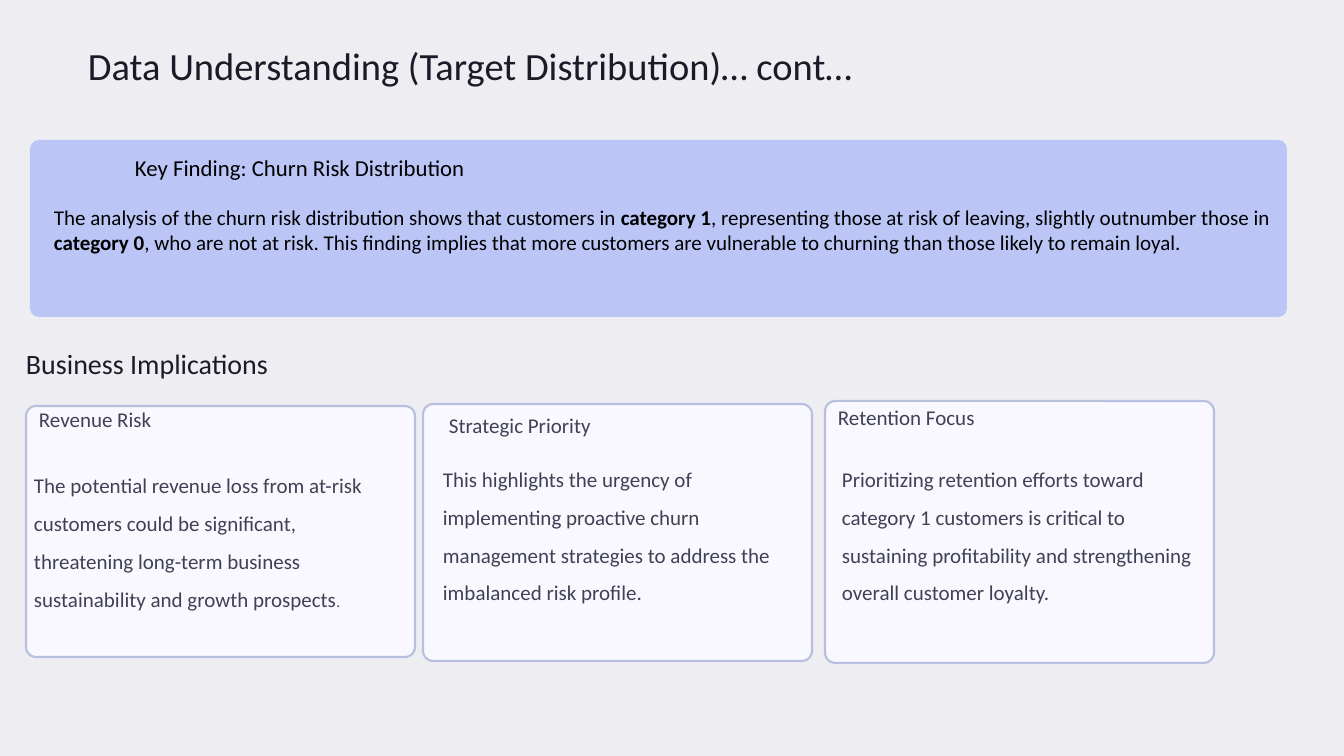
"""Build the churn risk slide with its key finding and three implication cards."""
from pptx import Presentation
from pptx.dml.color import RGBColor as RGB
from pptx.enum.shapes import MSO_SHAPE as Shape
from pptx.util import Emu, Pt

SCALE = 914400 / 84
FONT = "Calibri"
PAGE = RGB(0xED, 0xED, 0xF2)
PANEL = RGB(0xBB, 0xC6, 0xF7)
CARD = RGB(0xF8, 0xF8, 0xFE)
EDGE = RGB(0xB8, 0xBF, 0xDF)
INK = RGB(0x1B, 0x1B, 0x27)
BLACK = RGB(0x00, 0x00, 0x00)
SLATE = RGB(0x40, 0x41, 0x55)

FINDING = [
    ("The analysis of the churn risk distribution shows that customers in ", 18, False),
    ("category 1", 18, True),
    (", representing those at risk of leaving, slightly outnumber those in ", 18, False),
    ("category 0", 18, True),
    (", who are not at risk. This finding implies that more customers are "
     "vulnerable to churning than those likely to remain loyal.", 18, False),
]

CARDS = [
    ((26, 406, 389, 251), (39, 408, 194, 24), "Revenue Risk", (34, 460, 364, 173),
     [("The potential revenue loss from at-risk customers could be significant, "
       "threatening long-term business sustainability and growth prospects", 18, False),
      (".", 13, False)]),
    ((423, 404, 389, 257), (449, 414, 194, 24), "Strategic Priority", (443, 454, 354, 198),
     [("This highlights the urgency of implementing proactive churn management "
       "strategies to address the imbalanced risk profile.", 18, False)]),
    ((825, 401, 389, 262), (838, 406, 194, 24), "Retention Focus", (842, 454, 354, 189),
     [("Prioritizing retention efforts toward category 1 customers is critical to "
       "sustaining profitability and strengthening overall customer loyalty.", 18, False)]),
]


def px(*sizes):
    """Turn pixel lengths into EMU."""
    return [Emu(round(size * SCALE)) for size in sizes]


def add_box(slide, place, fill, bend, edge=None):
    """Add a rounded box, with an outline if an edge colour is given."""
    box = slide.shapes.add_shape(Shape.ROUNDED_RECTANGLE, *px(*place))
    box.adjustments[0] = bend
    box.shadow.inherit = False
    box.fill.solid()
    box.fill.fore_color.rgb = fill
    if edge is None:
        box.line.fill.background()
    else:
        box.line.color.rgb = edge
        box.line.width = Pt(1.8)


def add_text(slide, place, runs, color, lead=1.0):
    """Add a text box of one paragraph made of (words, size, bold) runs."""
    frame = slide.shapes.add_textbox(*px(*place)).text_frame
    frame.word_wrap = True
    frame.margin_left = frame.margin_right = 0
    frame.margin_top = frame.margin_bottom = 0
    para = frame.paragraphs[0]
    para.line_spacing = lead
    for words, size, bold in runs:
        run = para.add_run()
        run.text = words
        run.font.name = FONT
        run.font.size = Pt(size)
        run.font.bold = bold
        run.font.color.rgb = color


def add_card(slide, place, head, title, body, runs):
    """Add an outlined card with its title and body."""
    add_box(slide, place, CARD, 0.04, EDGE)
    add_text(slide, head, [(title, 18, False)], SLATE, Pt(20.5))
    add_text(slide, body, runs, SLATE, 1.5)


def main():
    """Build and save the slide."""
    deck = Presentation()
    deck.slide_width, deck.slide_height = px(1344, 756)
    slide = deck.slides.add_slide(deck.slide_layouts[6])
    slide.background.fill.solid()
    slide.background.fill.fore_color.rgb = PAGE

    add_text(slide, (88, 40, 916, 49),
             [("Data Understanding (Target Distribution)… cont…", 33, False)], INK, Pt(41.5))
    add_box(slide, (30, 140, 1257, 177), PANEL, 0.05)
    add_text(slide, (135, 152, 412, 29),
             [("Key Finding: Churn Risk Distribution", 19.5, False)], BLACK, Pt(24.5))
    add_text(slide, (54, 204, 1217, 89), FINDING, BLACK)
    add_text(slide, (26, 352, 383, 43),
             [("Business Implications", 24, False)], INK, Pt(24.5))
    for card in CARDS:
        add_card(slide, *card)
    deck.save("out.pptx")


if __name__ == "__main__":
    main()
